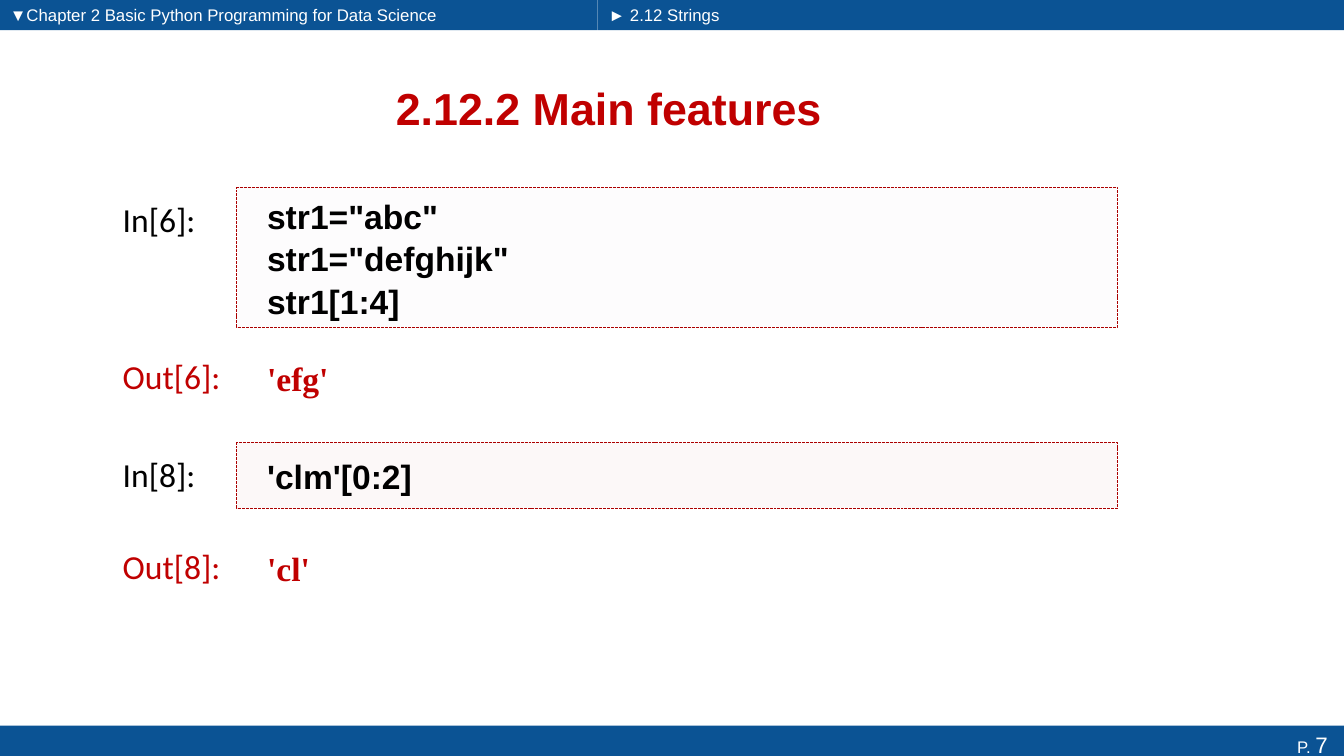
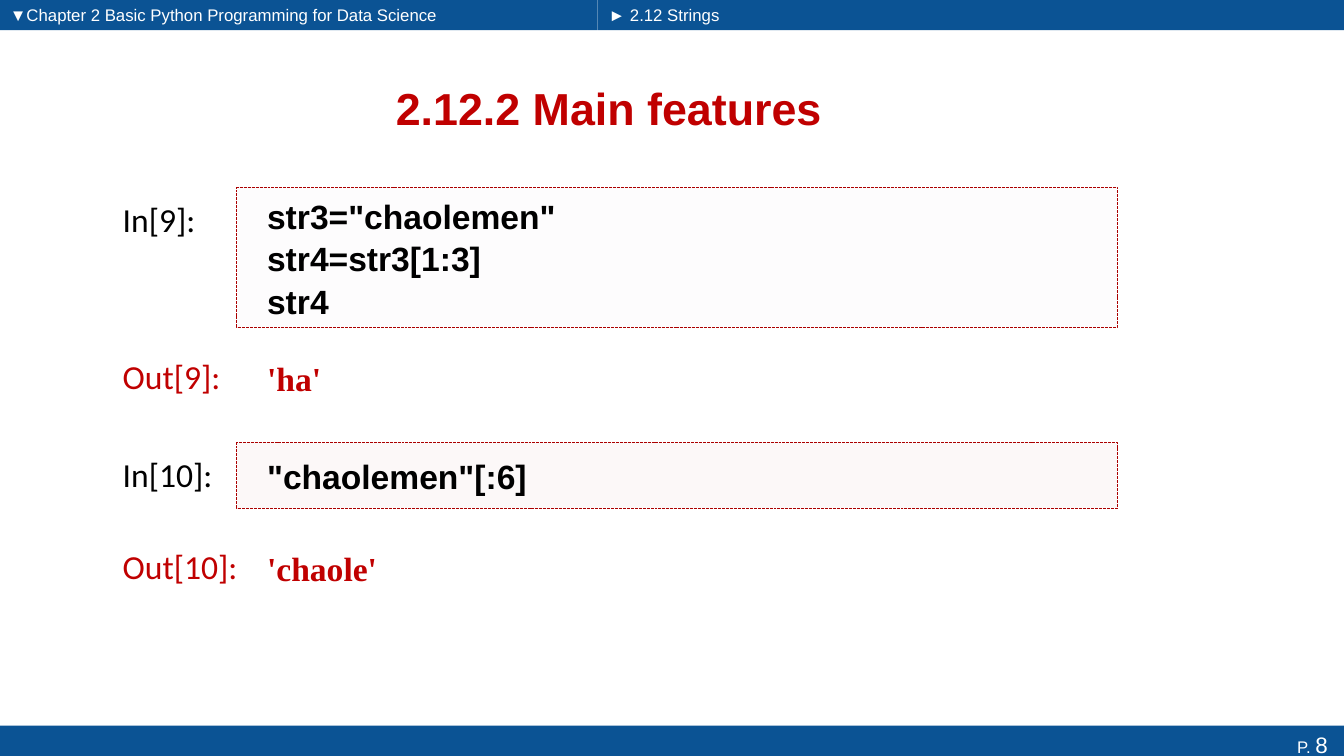
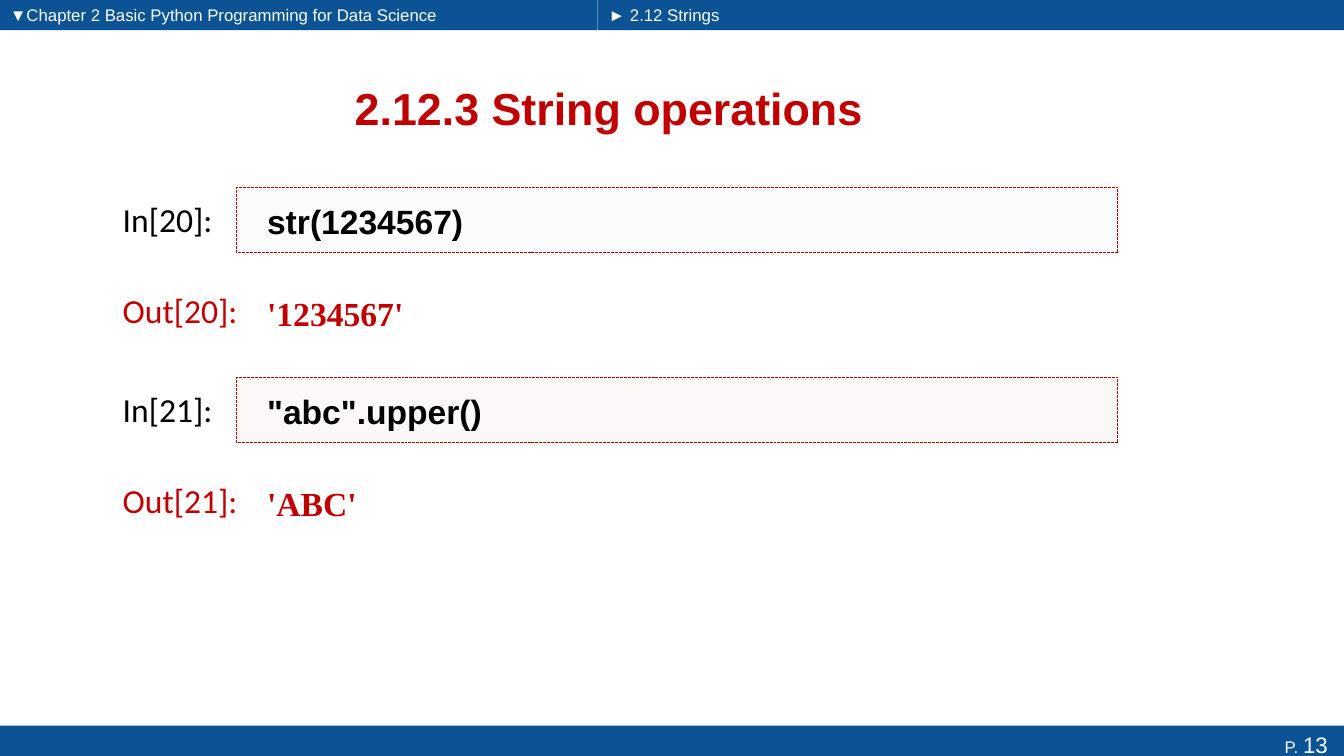
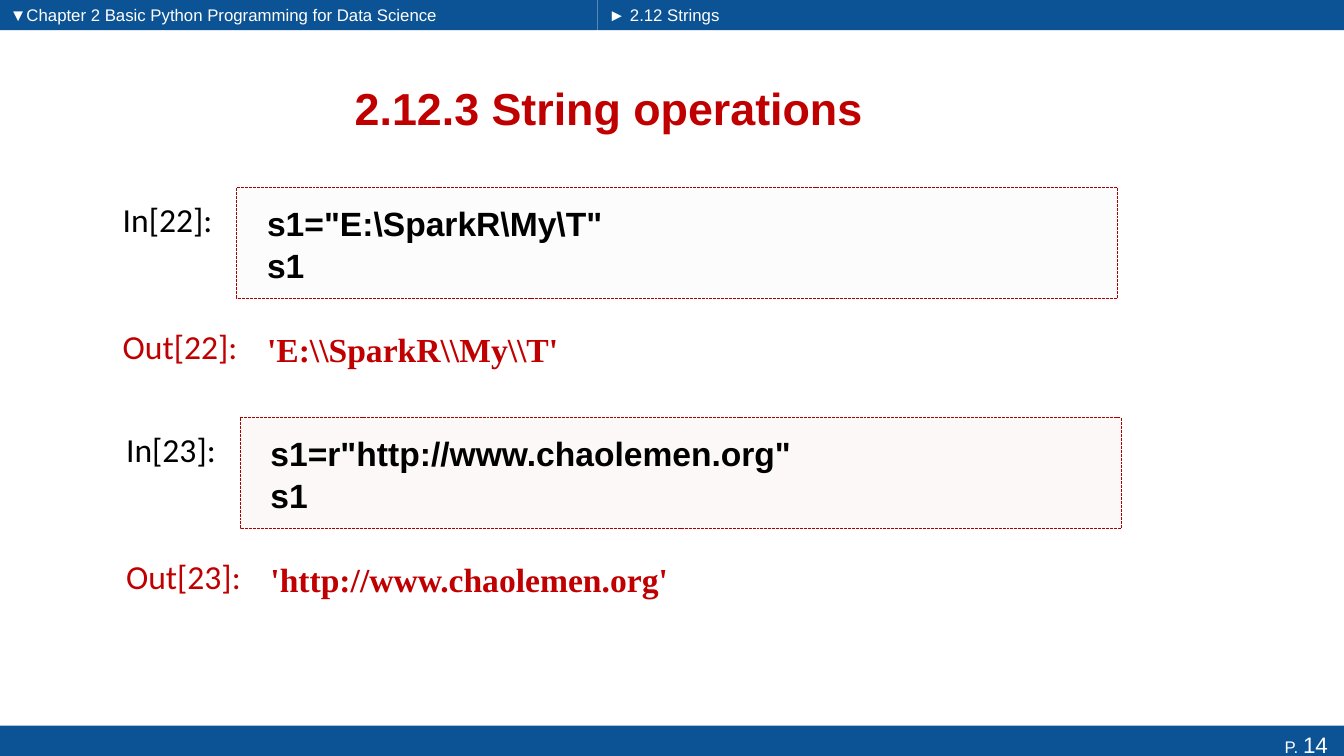
"""Build four slides of Python string examples with In/Out cells."""
from lxml import etree
from pptx import Presentation
from pptx.dml.color import RGBColor
from pptx.enum.dml import MSO_LINE
from pptx.enum.shapes import MSO_SHAPE
from pptx.enum.text import MSO_ANCHOR, PP_ALIGN
from pptx.oxml.ns import qn
from pptx.util import Pt

BLUE, RED, BLACK, WHITE, BORDER = "0B5394", "C00000", "000000", "FFFFFF", "AB0000"
TINTS = ["F1EEF4", "EDCDCB"]

TITLE = (RED, {"name": "Arial", "size": Pt(32), "bold": True})
HEADER = (WHITE, {"name": "Arial", "size": Pt(12)})
NUMBER = (WHITE, {"name": "Arial", "size": Pt(16)})
IN = (BLACK, {"name": "Calibri", "size": Pt(24)})
OUT = (RED, {"name": "Calibri", "size": Pt(24)})
CODE = (BLACK, {"name": "Arial", "size": Pt(24), "bold": True})
RESULT = (RED, {"name": "Times New Roman", "size": Pt(24), "bold": True})

LEFT = {"alignment": PP_ALIGN.LEFT}
CENTER = {"alignment": PP_ALIGN.CENTER}
RIGHT = {"alignment": PP_ALIGN.RIGHT}
CELL = {"alignment": PP_ALIGN.LEFT, "line_spacing": 1.05}

TOP = {"word_wrap": True, "vertical_anchor": MSO_ANCHOR.TOP}
MIDDLE = {"word_wrap": True, "vertical_anchor": MSO_ANCHOR.MIDDLE}
CELL_FRAME = {**MIDDLE, "margin_left": Pt(21.6)}

W, H = 960, 540
BAND_H, SPLIT, FOOT_Y = 21.6, 427, 518.4
CELL_X, CELL_W, RESULT_H = 169.2, 629.3, 46.8
LABEL_DX, LABEL_DY, LABEL_H = 88.6, 4.5, 36
CODE_H = {1: 46.8, 2: 79.2, 3: 100}
RESULT_GAP = {1: 18.7, 2: 11.9, 3: 12.2}

FEATURES, OPERATIONS = "2.12.2 Main features", "2.12.3 String operations"
SLIDES = [
    (7, FEATURES, [
        (0, 133.9, 6, ['str1="abc"', 'str1="defghijk"', "str1[1:4]"], "'efg'"),
        (0, 316.1, 8, ["'clm'[0:2]"], "'cl'")]),
    (8, FEATURES, [
        (0, 133.9, 9, ['str3="chaolemen"', "str4=str3[1:3]", "str4"], "'ha'"),
        (0, 316.1, 10, ['"chaolemen"[:6]'], "'chaole'")]),
    (13, OPERATIONS, [
        (0, 133.9, 20, ["str(1234567)"], "'1234567'"),
        (0, 269.5, 21, ['"abc".upper()'], "'ABC'")]),
    (14, OPERATIONS, [
        (0, 133.9, 22, [r's1="E:\SparkR\My\T"', "s1"], r"'E:\\SparkR\\My\\T'"),
        (2.4, 298.3, 23, ['s1=r"http://www.chaolemen.org"', "s1"],
         "'http://www.chaolemen.org'")]),
]


def rgb(hex_value):
    return RGBColor.from_string(hex_value)


def write(sp, lines, para=LEFT, frame=TOP):
    tf = sp.text_frame
    for key, value in frame.items():
        setattr(tf, key, value)
    for i, runs in enumerate(lines):
        p = tf.add_paragraph() if i else tf.paragraphs[0]
        for key, value in para.items():
            setattr(p, key, value)
        for text, (color, font) in runs:
            r = p.add_run()
            r.text = text
            r.font.color.rgb = rgb(color)
            for key, value in font.items():
                setattr(r.font, key, value)


prs = Presentation()
prs.slide_width, prs.slide_height = Pt(W), Pt(H)

for number, title, cells in SLIDES:
    s = prs.slides.add_slide(prs.slide_layouts[6])

    for x, y, w, h in [(0, 0, SPLIT, BAND_H), (SPLIT, 0, W - SPLIT, BAND_H),
                       (0, FOOT_Y, W, 26.6)]:
        band = s.shapes.add_shape(MSO_SHAPE.RECTANGLE, Pt(x), Pt(y), Pt(w), Pt(h))
        band.shadow.inherit = False
        band.fill.solid()
        band.fill.fore_color.rgb = rgb(BLUE)
        band.line.fill.background()
    write(band, [[("P. ", HEADER), (f"{number} ", NUMBER)]], RIGHT)

    for x, y, w, h, text, style, para, frame in [
            (49, 44.6, 772, 64.8, title, TITLE, CENTER, MIDDLE),
            (0, 0, 348, 21, "▼Chapter 2 Basic Python Programming for Data Science",
             HEADER, LEFT, TOP),
            (427.7, 0, 171, 21, "► 2.12 Strings", HEADER, LEFT, TOP)]:
        sp = s.shapes.add_textbox(Pt(x), Pt(y), Pt(w), Pt(h))
        write(sp, [[(text, style)]], para, frame)

    for tint, (dx, code_y, index, code, result) in zip(TINTS, cells):
        group = s.shapes.add_group_shape().shapes
        x, code_h = CELL_X + dx, CODE_H[len(code)]
        result_y = code_y + code_h + RESULT_GAP[len(code)]

        box = group.add_shape(MSO_SHAPE.RECTANGLE, Pt(x), Pt(code_y), Pt(CELL_W), Pt(code_h))
        box.shadow.inherit = False
        box.fill.solid()
        box.fill.fore_color.rgb = rgb(tint)
        clr = box.fill._xPr.find(qn("a:solidFill")).find(qn("a:srgbClr"))
        etree.SubElement(clr, qn("a:alpha"), val="13000")
        box.line.color.rgb = rgb(BORDER)
        box.line.width = Pt(0.7)
        box.line.dash_style = MSO_LINE.SQUARE_DOT
        write(box, [[(line, CODE)] for line in code], CELL, CELL_FRAME)

        sp = group.add_textbox(Pt(x), Pt(result_y), Pt(CELL_W), Pt(RESULT_H))
        write(sp, [[(result, RESULT)]], CELL, CELL_FRAME)

        for word, style, y, w in [("In", IN, code_y, 84), ("Out", OUT, result_y, 100)]:
            sp = group.add_textbox(Pt(x - LABEL_DX), Pt(y + LABEL_DY), Pt(w), Pt(LABEL_H))
            write(sp, [[(f"{word}[{index}]:", style)]])

prs.save("out.pptx")
